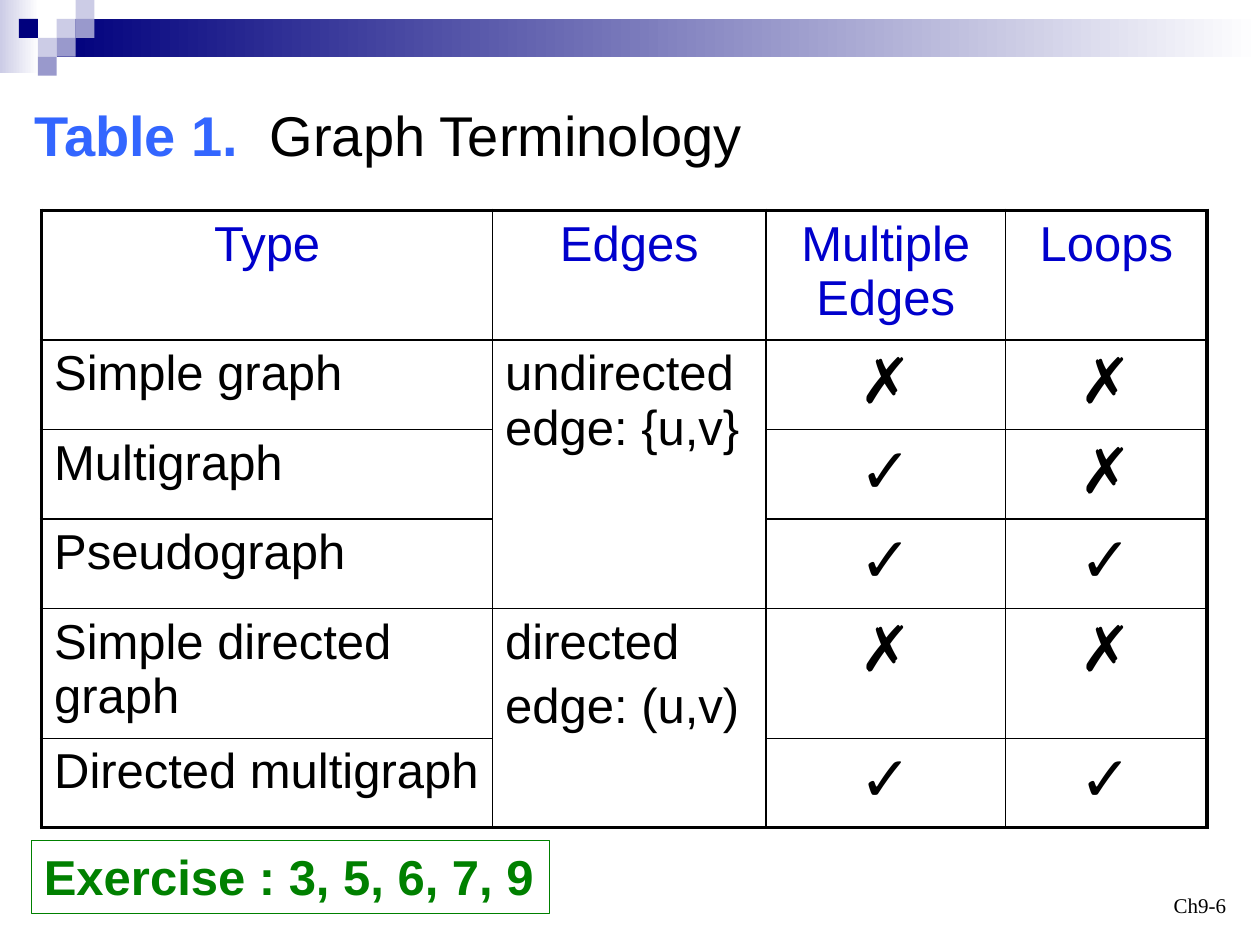
"""Build the graph terminology slide."""
from lxml import etree
from pptx import Presentation, util as u
from pptx.dml.color import RGBColor
from pptx.enum import shapes, text
from pptx.oxml.ns import qn

BLACK = RGBColor(0, 0, 0)
WHITE = RGBColor(255, 255, 255)
NAVY = RGBColor(0, 0, 0x7D)
LAVENDER = RGBColor(0xCC, 0xCC, 0xE6)
PERIWINKLE = RGBColor(0x99, 0x99, 0xCC)
TITLE_BLUE = RGBColor(0x33, 0x66, 0xFF)
HEADER_BLUE = RGBColor(0, 0, 0xCC)
GREEN = RGBColor(0, 0x80, 0)

BANDS = [((0, 0, 0.31, 0.58), LAVENDER), ((0.45, 0.15, 9.55, 0.3), NAVY)]
SQUARE = 0.15
SQUARES = [(3, 1, LAVENDER), (4, 0, LAVENDER), (4, 1, PERIWINKLE), (2, 2, LAVENDER),
           (1, 1, NAVY), (3, 2, PERIWINKLE), (2, 3, PERIWINKLE)]

ROWS = [
    ("Type", "Edges", "Multiple Edges", "Loops"),
    ("Simple graph", "undirected\vedge: {u,v}", "✗", "✗"),
    ("Multigraph", "", "✓", "✗"),
    ("Pseudograph", "", "✓", "✓"),
    ("Simple directed graph", "directed\nedge: (u,v)", "✗", "✗"),
    ("Directed multigraph", "", "✓", "✓"),
]
MERGES = [(1, 3), (4, 5)]
EDGES_COLUMN = 1
COLUMN_WIDTHS = [3.58, 2.17, 1.9, 1.6]
ROW_HEIGHTS = [1.03, 0.71, 0.71, 0.71, 1.03, 0.71]
THICK, THIN = 2.25, 1


def inches(*values):
    return [u.Inches(value) for value in values]


def set_font(font, size, color, bold=False, name="Arial"):
    font.name, font.size, font.bold = name, u.Pt(size), bold
    font.color.rgb = color


def add_rectangle(slide, box, color, fade=False):
    shape = slide.shapes.add_shape(shapes.MSO_SHAPE.RECTANGLE, *inches(*box))
    shape.shadow.inherit = False
    shape.line.fill.background()
    if fade:
        shape.fill.gradient()
        shape.fill.gradient_angle = 0
        for stop, stop_color, position in zip(shape.fill.gradient_stops, (color, WHITE), (0, 1)):
            stop.color.rgb = stop_color
            stop.position = position
    else:
        shape.fill.solid()
        shape.fill.fore_color.rgb = color


def add_title(slide):
    title = slide.shapes.title
    title.left, title.top, title.width, title.height = inches(0.17, 0.75, 9.58, 0.75)
    frame = title.text_frame
    frame.auto_size = text.MSO_AUTO_SIZE.NONE
    frame.vertical_anchor = text.MSO_ANCHOR.TOP
    paragraph = frame.paragraphs[0]
    paragraph.alignment = text.PP_ALIGN.LEFT
    tabs = etree.SubElement(paragraph._p.get_or_add_pPr(), qn("a:tabLst"))
    etree.SubElement(tabs, qn("a:tab"), pos=str(u.Inches(1.87)), algn="l")
    for words, color, bold in (("Table 1.", TITLE_BLUE, True),
                               ("\tGraph Terminology", BLACK, False)):
        run = paragraph.add_run()
        run.text = words
        set_font(run.font, 32, color, bold)


def set_borders(cell, widths):
    properties = cell._tc.get_or_add_tcPr()
    for side, width in widths.items():
        line = etree.SubElement(properties, qn(f"a:ln{side}"), w=str(u.Pt(width)))
        fill = etree.SubElement(line, qn("a:solidFill"))
        etree.SubElement(fill, qn("a:srgbClr"), val=str(BLACK))


def format_cell(cell, row, column):
    last_row = row + (cell.span_height if cell.is_merge_origin else 1) == len(ROWS)
    set_borders(cell, {
        "L": THICK if column == 0 else THIN,
        "R": THICK if column == len(COLUMN_WIDTHS) - 1 else THIN,
        "T": THICK if row == 0 else THIN,
        "B": THICK if last_row else THIN,
    })
    cell.fill.background()
    if cell.is_spanned:
        return
    cell.text = ROWS[row][column]
    is_mark = row > 0 and column > EDGES_COLUMN
    for index, paragraph in enumerate(cell.text_frame.paragraphs):
        centered = row == 0 or is_mark
        paragraph.alignment = text.PP_ALIGN.CENTER if centered else text.PP_ALIGN.LEFT
        if index:
            paragraph.space_before = u.Pt(5.6)
        set_font(paragraph.font, 36 if is_mark else 28, BLACK if row else HEADER_BLUE)


def add_terminology_table(slide):
    box = inches(0.33, 1.67, sum(COLUMN_WIDTHS), sum(ROW_HEIGHTS))
    table = slide.shapes.add_table(len(ROWS), len(COLUMN_WIDTHS), *box).table
    table.first_row = table.horz_banding = False
    for column, width in zip(table.columns, COLUMN_WIDTHS):
        column.width = u.Inches(width)
    for row, height in zip(table.rows, ROW_HEIGHTS):
        row.height = u.Inches(height)
    for first, last in MERGES:
        table.cell(first, EDGES_COLUMN).merge(table.cell(last, EDGES_COLUMN))
    for row in range(len(ROWS)):
        for column in range(len(COLUMN_WIDTHS)):
            format_cell(table.cell(row, column), row, column)


def add_exercise(slide):
    box = slide.shapes.add_textbox(*inches(0.25, 6.67, 4.11, 0.58))
    box.line.color.rgb = GREEN
    box.line.width = u.Pt(0.75)
    box.text_frame.word_wrap = False
    box.text_frame.auto_size = text.MSO_AUTO_SIZE.SHAPE_TO_FIT_TEXT
    paragraph = box.text_frame.paragraphs[0]
    paragraph.text = "Exercise : 3, 5, 6, 7, 9"
    set_font(paragraph.font, 28, GREEN, True)


def add_page_label(slide):
    box = slide.shapes.add_textbox(*inches(7.5, 6.83, 2.33, 0.5))
    box.text_frame.word_wrap = True
    box.text_frame.vertical_anchor = text.MSO_ANCHOR.BOTTOM
    paragraph = box.text_frame.paragraphs[0]
    paragraph.text = "Ch9-6"
    paragraph.alignment = text.PP_ALIGN.RIGHT
    set_font(paragraph.font, 12, BLACK, name="Times New Roman")


def main():
    presentation = Presentation()
    presentation.slide_width, presentation.slide_height = inches(10, 7.5)
    slide = presentation.slides.add_slide(presentation.slide_layouts[5])
    for box, color in BANDS:
        add_rectangle(slide, box, color, fade=True)
    for column, row, color in SQUARES:
        add_rectangle(slide, (column * SQUARE, row * SQUARE, SQUARE, SQUARE), color)
    add_title(slide)
    add_terminology_table(slide)
    add_exercise(slide)
    add_page_label(slide)
    presentation.save("out.pptx")


if __name__ == "__main__":
    main()
